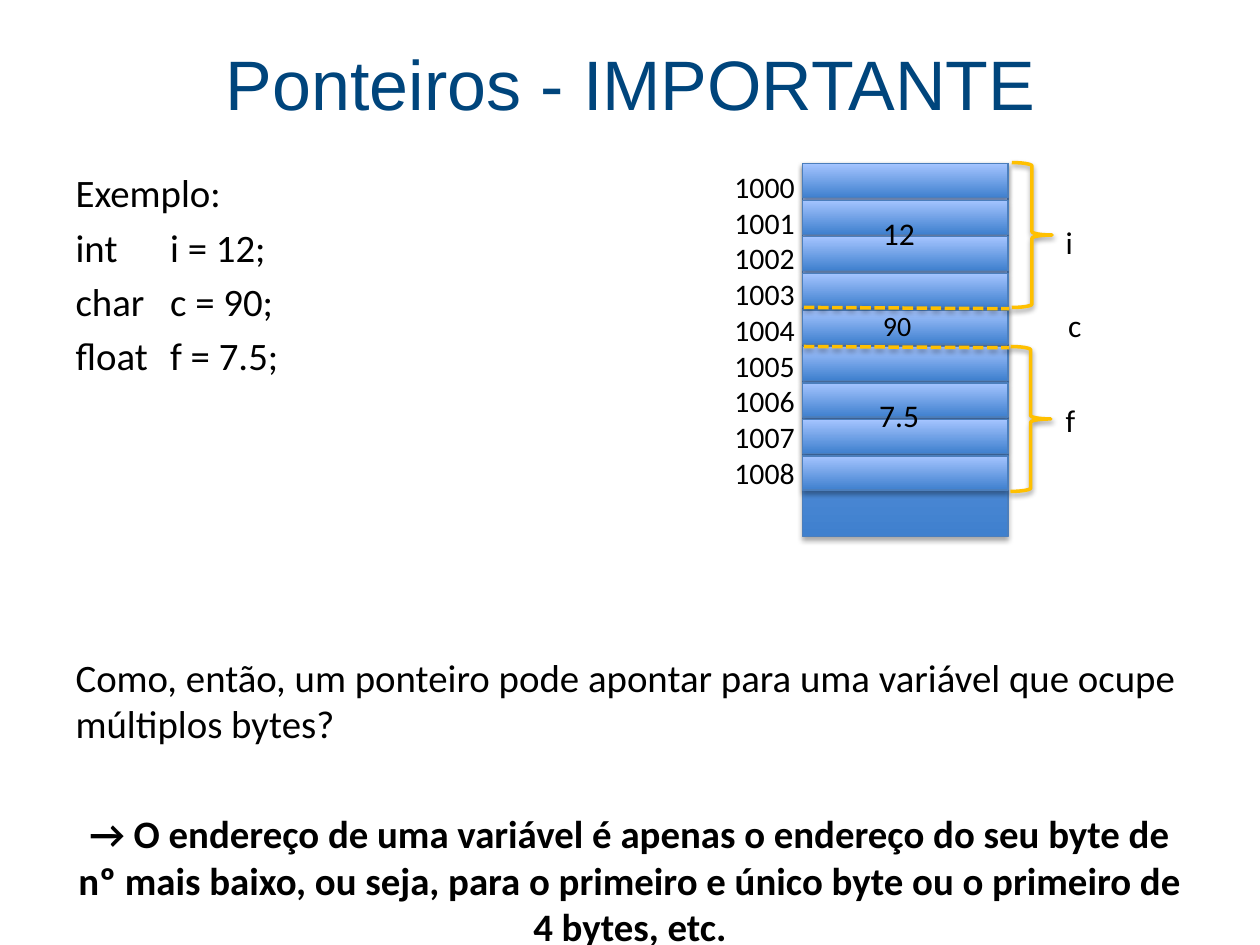
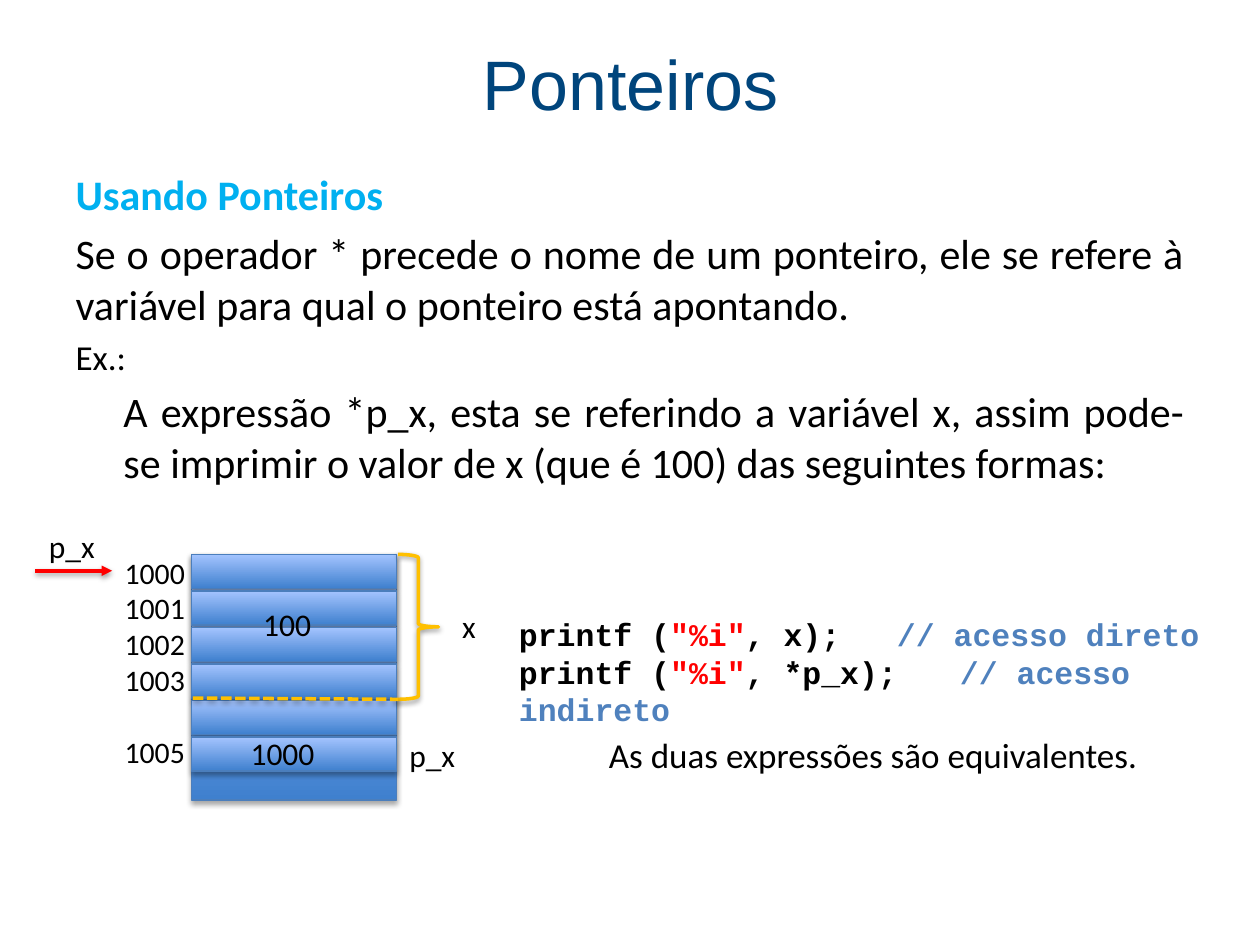
from lxml import etree
from pptx import Presentation
from pptx import util as u
from pptx.dml.color import RGBColor
from pptx.enum import dml, shapes, text
from pptx.oxml.ns import qn

BLACK, NAVY, CYAN, RED = "000000", "00457C", "00B0F0", "FF0000"
AMBER, COMMENT, CELL_EDGE = "FFC000", "4F81BD", "4B7EBC"
CELL_DARK, CELL_LIGHT = "3F80CE", "A4C4FF"
CELL_WIDTH, CELL_HEIGHT, CELL_STEP = 1.63, 0.27, 0.29
CENTER, JUSTIFY = text.PP_ALIGN.CENTER, text.PP_ALIGN.JUSTIFY


def rgb(value):
    return RGBColor.from_string(value)


def write(frame, content, size=18, font="Calibri", color=BLACK, bold=False,
          align=None, before=None, level=0, indent=None, tab_step=None):
    paragraph = frame.paragraphs[0]
    if paragraph.runs:
        paragraph = frame.add_paragraph()
    paragraph.level = level
    if align is not None:
        paragraph.alignment = align
    if before is not None:
        paragraph.space_before = u.Pt(before)
    properties = paragraph._p.get_or_add_pPr()
    if indent is not None:
        properties.set("marL", str(u.Inches(indent)))
        properties.set("indent", "0")
        etree.SubElement(properties, qn("a:buNone"))
    if tab_step is not None:
        properties.set("defTabSz", str(u.Inches(tab_step)))
    parts = [(content, color)] if isinstance(content, str) else content
    for words, part_color in parts:
        run = paragraph.add_run()
        run.text = words
        run.font.size = u.Pt(size)
        run.font.name = font
        run.font.bold = bold
        run.font.color.rgb = rgb(part_color)


class Deck:
    def __init__(self):
        self.file = Presentation()
        self.file.slide_width = u.Inches(10)
        self.file.slide_height = u.Inches(7.5)

    def add_slide(self, heading):
        self.slide = self.file.slides.add_slide(self.file.slide_layouts[1])
        self.canvas = self.slide.shapes
        title = self.slide.shapes.title
        self.place(title, 0.35, 0.03, 9.31, 1.25)
        title.text_frame.vertical_anchor = text.MSO_ANCHOR.MIDDLE
        write(title.text_frame, heading, size=40, font="Arial", color=NAVY, align=CENTER)

    def place(self, shape, left, top, width, height):
        shape.left, shape.top = u.Inches(left), u.Inches(top)
        shape.width, shape.height = u.Inches(width), u.Inches(height)

    def body(self):
        content = self.slide.placeholders[1]
        self.place(content, 0.5, 1.29, 9, 5.69)
        content.text_frame.auto_size = text.MSO_AUTO_SIZE.NONE
        return content.text_frame

    def start_group(self):
        self.canvas = self.slide.shapes.add_group_shape().shapes

    def box(self, left, top, width, height, wrap=True):
        frame = self.canvas.add_textbox(
            u.Inches(left), u.Inches(top), u.Inches(width), u.Inches(height)).text_frame
        frame.word_wrap = wrap
        return frame

    def label(self, words, left, top, width=0.6, height=0.4, **style):
        write(self.box(left, top, width, height), words, **style)

    def shadow(self, shape, opacity, distance):
        effects = etree.SubElement(shape.element.spPr, qn("a:effectLst"))
        outer = etree.SubElement(effects, qn("a:outerShdw"), blurRad=str(u.Pt(3.1)),
                                 dist=str(u.Pt(distance)), dir="5400000", rotWithShape="0")
        shade = etree.SubElement(outer, qn("a:srgbClr"), val=BLACK)
        etree.SubElement(shade, qn("a:alpha"), val=str(opacity * 1000))

    def shape(self, kind, left, top, width, height):
        return self.canvas.add_shape(
            kind, u.Inches(left), u.Inches(top), u.Inches(width), u.Inches(height))

    def stroke(self, shape, color, width):
        shape.line.color.rgb = rgb(color)
        shape.line.width = u.Pt(width)

    def cell(self, left, top, height=CELL_HEIGHT):
        block = self.shape(shapes.MSO_SHAPE.RECTANGLE, left, top, CELL_WIDTH, height)
        block.fill.gradient()
        block.fill.gradient_angle = 90
        for stop, color in zip(block.fill.gradient_stops, (CELL_DARK, CELL_LIGHT)):
            stop.color.rgb = rgb(color)
        self.stroke(block, CELL_EDGE, 0.75)
        self.shadow(block, 35, 1.8)

    def memory(self, left, top, height, cells):
        self.cell(left, top, height)
        for index in range(cells):
            self.cell(left, top + index * CELL_STEP)

    def brace(self, left, top):
        bracket = self.shape(shapes.MSO_SHAPE.RIGHT_BRACE, left, top, 0.32, 1.15)
        bracket.fill.background()
        self.stroke(bracket, AMBER, 2)
        self.shadow(bracket, 38, 1.6)

    def line(self, start, end, color, dashed=False, arrow=False):
        rule = self.canvas.add_connector(
            shapes.MSO_CONNECTOR.STRAIGHT, *(u.Inches(value) for value in start + end))
        self.stroke(rule, color, 2)
        if dashed:
            rule.line.dash_style = dml.MSO_LINE.SQUARE_DOT
        if arrow:
            etree.SubElement(rule.element.spPr.find(qn("a:ln")), qn("a:tailEnd"), type="triangle")
        self.shadow(rule, 38, 1.6)

    def divider(self, left, top):
        self.line((left, top), (left + CELL_WIDTH, top + 0.01), AMBER, dashed=True)


def variable_sizes(deck):
    deck.add_slide("Ponteiros - IMPORTANTE")
    body = deck.body()
    for declaration in ("Exemplo:", "int\ti = 12;", "char\tc = 90;", "float\tf = 7.5;"):
        write(body, declaration, size=22.2, indent=0, tab_step=0.75)
    write(body, "Como, então, um ponteiro pode apontar para uma variável que ocupe "
          "múltiplos bytes?", size=22.2, indent=0, before=157)
    write(body, "→ O endereço de uma variável é apenas o endereço do seu byte de nº mais "
          "baixo, ou seja, para o primeiro e único byte ou o primeiro de 4 bytes, etc.",
          size=22.2, bold=True, align=CENTER, indent=0, before=36)

    deck.start_group()
    deck.memory(6.37, 1.3, 2.96, 9)
    addresses = deck.box(5.73, 1.29, 0.95, 2.73)
    for address in range(1000, 1009):
        write(addresses, str(address), size=17)
    for brace_left, brace_top in ((8.03, 1.29), (8.02, 2.75)):
        deck.brace(brace_left, brace_top)
    for divider_top in (2.44, 2.75):
        deck.divider(6.38, divider_top)
    for words, left, top in (("i", 8.36, 1.72), ("f", 8.36, 3.13), ("c", 8.38, 2.38),
                             ("12", 6.91, 1.65), ("7.5", 6.88, 3.09)):
        deck.label(words, left, top)
    deck.label("90", 6.91, 2.4, height=0.37, size=16)


def pointer_access(deck):
    deck.add_slide("Ponteiros")
    body = deck.body()
    write(body, "Usando Ponteiros", size=24, color=CYAN, bold=True, indent=0)
    write(body, "Se o operador * precede o nome de um ponteiro, ele se refere à variável "
          "para qual o ponteiro está apontando.", size=24, align=JUSTIFY, indent=0)
    write(body, "Ex.:", size=20, align=JUSTIFY, indent=0)
    write(body, "A expressão *p_x, esta se referindo a variável x, assim pode-se imprimir o "
          "valor de x (que é 100) das seguintes formas:",
          size=24, align=JUSTIFY, level=1, indent=0.38)

    code = deck.box(4.02, 4.83, 6.18, 1.01)
    for argument, remark in (("x", "direto"), ("*p_x", "indireto")):
        write(code, [("printf (", BLACK), ('"%i"', RED), (f", {argument});\t", BLACK),
                     (f"// acesso {remark}", COMMENT)],
              font="Courier New", bold=True, tab_step=0.5)
    conclusion = deck.box(4.71, 5.77, 4.44, 0.44, wrap=False)
    conclusion.vertical_anchor = text.MSO_ANCHOR.MIDDLE
    write(conclusion, "As duas expressões são equivalentes.", size=20, align=CENTER)

    deck.start_group()
    deck.memory(1.52, 4.4, 1.95, 6)
    deck.brace(3.16, 4.4)
    addresses = deck.box(0.89, 4.35, 0.95, 2.15)
    for address in (1000, 1001, 1002, 1003, 1005):
        write(addresses, str(address), size=17, before=20.75 if address == 1005 else 0)
    deck.divider(1.53, 5.54)
    for words, left, top, width in (("x", 3.57, 4.77, 0.74), ("100", 1.99, 4.75, 0.95),
                                    ("1000", 1.89, 5.78, 0.81), ("p_x", 3.15, 5.79, 0.6)):
        deck.label(words, left, top, width)

    deck.start_group()
    deck.line((0.28, 4.53), (0.89, 4.53), RED, arrow=True)
    deck.label("p_x", 0.29, 4.13)


def main():
    deck = Deck()
    variable_sizes(deck)
    pointer_access(deck)
    deck.file.save("out.pptx")


if __name__ == "__main__":
    main()
